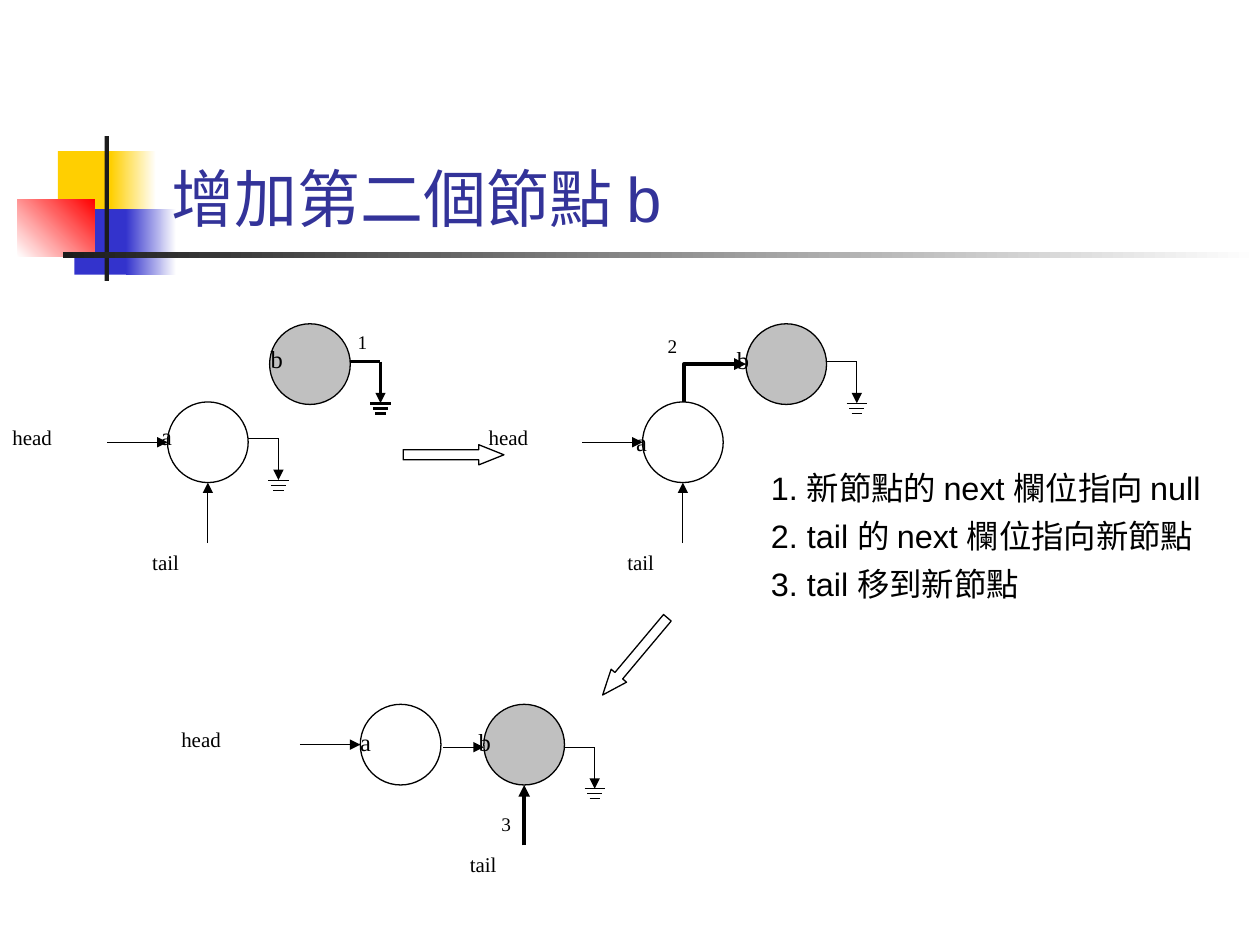
"""Build a slide that shows how a second node joins a linked list."""
import pptx
import pptx.dml.color
import pptx.enum.shapes
import pptx.enum.text
import pptx.oxml.ns
import pptx.util
import lxml.etree

COLUMNS, ROWS = 100, 75
WIDTH, HEIGHT = pptx.util.Inches(10), pptx.util.Inches(7.5)
DIAMETER = 6.4
RADIUS = DIAMETER / 2
SERIF, SANS = "Times New Roman", "Arial"
COLORS = {"black": "000000", "white": "FFFFFF", "new": "C0C0C0", "title": "333399",
          "yellow": "FFCF01", "blue": "3333CC", "red": "FF0000", "rule": "1C1C1C"}
SHAPES = pptx.enum.shapes.MSO_SHAPE
CONNECTORS = pptx.enum.shapes.MSO_CONNECTOR
ANCHORS = pptx.enum.text.MSO_ANCHOR


def across(columns):
    """Turn grid columns into a length."""
    return round(WIDTH * columns / COLUMNS)


def down(rows):
    """Turn grid rows into a length."""
    return round(HEIGHT * rows / ROWS)


def frame(left, top, width, height):
    """Turn a grid rectangle into lengths."""
    return across(left), down(top), across(width), down(height)


def rgb(name):
    """Look up a named colour."""
    return pptx.dml.color.RGBColor.from_string(COLORS[name])


def write(box, text, size=12, font=SERIF, color="black", anchor=ANCHORS.TOP, gap=0, hanging=0):
    """Fill a text box with one paragraph for each line of text."""
    box.text_frame.text = text
    box.text_frame.word_wrap = True
    box.text_frame.auto_size = pptx.enum.text.MSO_AUTO_SIZE.NONE
    box.text_frame.vertical_anchor = anchor
    for index, para in enumerate(box.text_frame.paragraphs):
        para.alignment = pptx.enum.text.PP_ALIGN.LEFT
        para.space_before = pptx.util.Pt(gap if index else 0)
        if hanging:
            properties = para._p.get_or_add_pPr()
            properties.set("marL", str(across(hanging)))
            properties.set("indent", str(-across(hanging)))
        for span in para.runs:
            span.font.size = pptx.util.Pt(size)
            span.font.name = font
            span.font.color.rgb = rgb(color)


def add_label(page, text, left, top, width=9.5, height=3.5, **style):
    """Place a text box on the grid."""
    write(page.shapes.add_textbox(*frame(left, top, width, height)), text, **style)


def add_figure(page, kind, place, fill=None, fade=None, angle=0, outline=None):
    """Place a preset shape with a plain, faded or empty fill."""
    shape = page.shapes.add_shape(kind, *frame(*place))
    shape.shadow.inherit = False
    if fade:
        shape.fill.gradient()
        shape.fill.gradient_angle = angle
        for stop, name in zip(shape.fill.gradient_stops, (fill, fade)):
            stop.color.rgb = rgb(name)
    elif fill:
        shape.fill.solid()
        shape.fill.fore_color.rgb = rgb(fill)
    else:
        shape.fill.background()
    if outline:
        shape.line.color.rgb = rgb("black")
        shape.line.width = pptx.util.Pt(outline)
    else:
        shape.line.fill.background()
    return shape


def add_line(page, start, end, weight=0.5, arrow=False, kind=CONNECTORS.STRAIGHT):
    """Draw a black connector, with an arrowhead at its end if asked."""
    line = page.shapes.add_connector(kind, across(start[0]), down(start[1]),
                                     across(end[0]), down(end[1]))
    line.line.color.rgb = rgb("black")
    line.line.width = pptx.util.Pt(weight)
    if arrow:
        head = lxml.etree.SubElement(line.line._get_or_add_ln(), pptx.oxml.ns.qn("a:tailEnd"))
        head.set("type", "triangle")
    lxml.etree.SubElement(line._element.spPr, pptx.oxml.ns.qn("a:effectLst"))
    return line


def add_corner(page, start, end, weight):
    """Draw an arrow that goes up from its start and then right to its end."""
    middle_x, middle_y = (start[0] + end[0]) / 2, (start[1] + end[1]) / 2
    half_x, half_y = (start[1] - end[1]) / 2, (end[0] - start[0]) / 2
    line = add_line(page, (middle_x + half_x, middle_y + half_y),
                    (middle_x - half_x, middle_y - half_y), weight, True, CONNECTORS.ELBOW)
    line._element.spPr.find(pptx.oxml.ns.qn("a:prstGeom")).set("prst", "bentConnector2")
    line._element.spPr.find(pptx.oxml.ns.qn("a:xfrm")).set("rot", str(90 * 60000))


def add_node(page, name, left, top, letter_left, letter_top, fill=None):
    """Draw a list node with its letter."""
    add_figure(page, SHAPES.OVAL, (left, top, DIAMETER, DIAMETER), fill, outline=0.75)
    add_label(page, name, letter_left, letter_top, 3.7, 4.3, size=14)


def add_null(page, left, top, weight=0.5):
    """Draw a link that ends in a ground sign."""
    center, ground = left + 2.4, top + 3.3
    add_line(page, (left, top), (center, top), weight)
    add_line(page, (center, top), (center, ground), weight, True)
    for step, half in enumerate((0.8, 0.6, 0.4)):
        level = ground + 0.4 * step
        add_line(page, (center - half, level), (center + half, level), weight)


def add_head(page, label_left, node_left, node_top):
    """Draw the head label and its arrow into a node."""
    middle = node_top + RADIUS
    add_label(page, "head", label_left, middle - 1.9)
    add_line(page, (node_left - 4.8, middle), (node_left, middle), 0.75, True)


def add_tail(page, label_left, node_left, node_top, weight=0.5):
    """Draw the tail label and its arrow into a node."""
    center, bottom = node_left + RADIUS, node_top + DIAMETER
    add_label(page, "tail", label_left, bottom + 4.8)
    add_line(page, (center, bottom + 4.8), (center, bottom), weight, True)


def add_decoration(page):
    """Draw the coloured blocks and rules beside the title."""
    for place, fill, fade, angle in (
            ((4.6, 12, 4.8, 5.2), "yellow", None, 0),
            ((8.8, 12, 3.6, 5.2), "yellow", "white", 0),
            ((5.9, 16.6, 4.6, 5.2), "blue", None, 0),
            ((10, 16.6, 4, 5.2), "blue", "white", 0),
            ((1.4, 15.8, 6.1, 4.6), "white", "red", 45),
            ((8.3, 10.8, 0.35, 11.5), "rule", None, 0),
            ((5, 20, 95, 0.5), "rule", "white", 0)):
        add_figure(page, SHAPES.RECTANGLE, place, fill, fade, angle)


def add_title(page, text):
    """Place the title above the decoration."""
    title = page.shapes.title
    title.left, title.top, title.width, title.height = frame(12.6, 6.7, 85.2, 12.5)
    write(title, text, size=36, font=SANS, color="title", anchor=ANCHORS.BOTTOM)
    page.shapes._spTree.append(title._element)


def add_block_arrow(page, kind, place, rotation=0):
    """Draw a hollow arrow between two stages."""
    arrow = add_figure(page, kind, place, "white", outline=0.75)
    arrow.adjustments[0], arrow.adjustments[1] = 0.5, 1.25
    arrow.rotation = rotation


def main():
    """Build and save the slide."""
    deck = pptx.Presentation()
    deck.slide_width, deck.slide_height = WIDTH, HEIGHT
    page = deck.slides.add_slide(deck.slide_layouts[5])
    add_decoration(page)
    add_title(page, "增加第二個節點 b")
    add_label(page, "1. 新節點的 next 欄位指向 null\n2. tail 的 next 欄位指向新節點\n3. tail 移到新節點",
              60.2, 36.7, 39.8, 15.7, size=18.5, font=SANS, gap=5, hanging=3.8)

    for head, tail, first, second, letter_a, letter_b in (
            (0, 11.1, 13.3, 21.4, (11.8, 32.9), (20.5, 26.8)),
            (37.8, 48.8, 51, 59.2, (49.5, 33.4), (57.5, 26.9))):
        add_node(page, "a", first, 31.9, *letter_a)
        add_head(page, head, first, 31.9)
        add_tail(page, tail, first, 31.9)
        add_node(page, "b", second, 25.7, *letter_b, fill="new")
    add_null(page, 19.7, 34.8)
    add_null(page, 27.8, 28.7, 1.5)
    add_null(page, 65.6, 28.7)
    add_corner(page, (54.3, 31.9), (59.2, 28.9), 2.25)

    add_node(page, "a", 28.6, 55.9, 27.6, 57.2)
    add_head(page, 13.4, 28.6, 55.9)
    add_node(page, "b", 38.4, 55.9, 37, 57.2, fill="new")
    add_tail(page, 36.3, 38.4, 55.9, 2.25)
    add_line(page, (35.2, 59.3), (38.4, 59.3), 0.75, True)
    add_null(page, 44.8, 59.3)

    for number, left, top in (("1", 27.4, 25.7), ("2", 52, 26), ("3", 38.8, 64)):
        add_label(page, number, left, top, 3.2, 3.2, size=11)
    add_block_arrow(page, SHAPES.RIGHT_ARROW, (32, 35.3, 8, 1.6))
    add_block_arrow(page, SHAPES.DOWN_ARROW, (49.6, 48.1, 1.6, 8), 40)
    deck.save("out.pptx")


if __name__ == "__main__":
    main()
